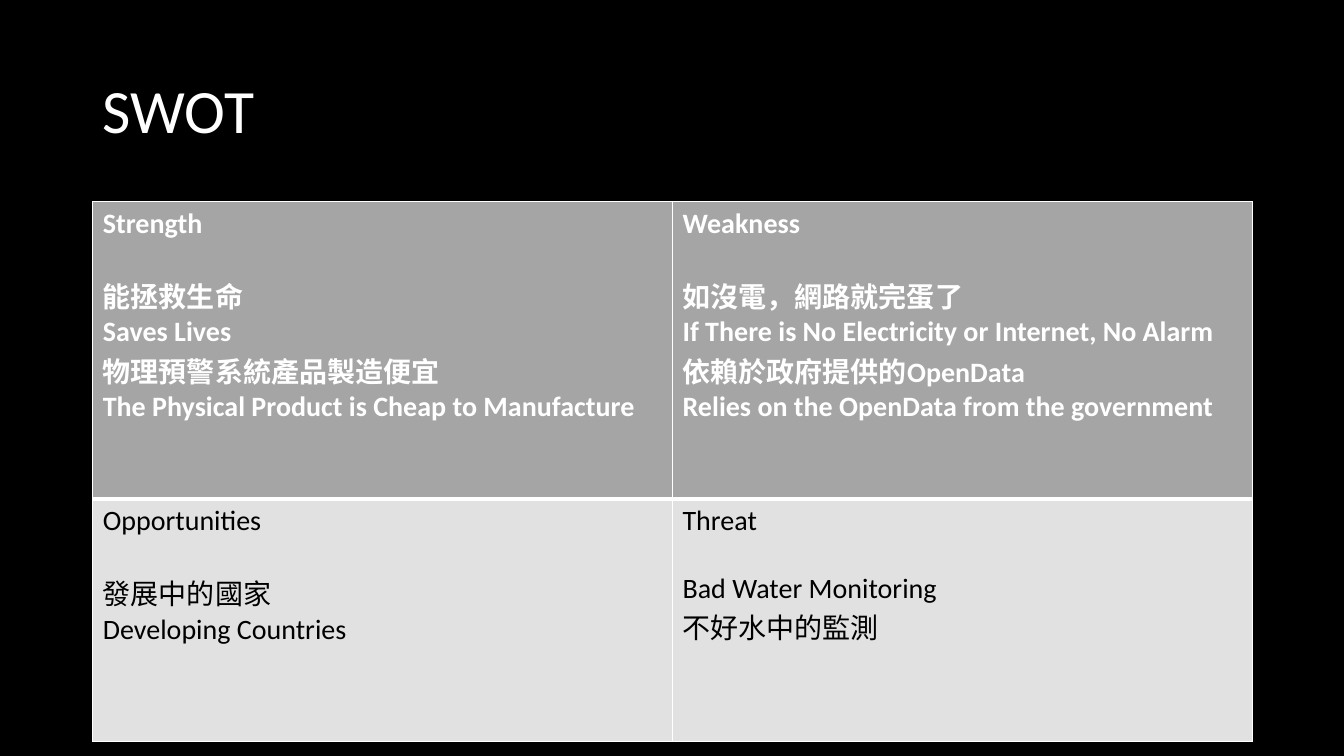
from lxml.etree import SubElement
from pptx import Presentation
from pptx.dml.color import RGBColor
from pptx.enum.text import MSO_ANCHOR, PP_ALIGN
from pptx.oxml.ns import qn
from pptx.util import Inches, Pt

WHITE, BLACK = "FFFFFF", "000000"
HEIGHTS = [2.95, 2.41]
FILLS = ["A5A5A5", "E1E1E1"]
INKS = [WHITE, BLACK]
SWOT = [
    [
        ["Strength", "能拯救生命", "Saves Lives", "物理預警系統產品製造便宜",
         "The Physical Product is Cheap to Manufacture"],
        ["Weakness", "如沒電，網路就完蛋了",
         "If There is No Electricity or Internet, No Alarm",
         "依賴於政府提供的OpenData",
         "Relies on the OpenData from the government"],
    ],
    [
        ["Opportunities", "發展中的國家", "Developing Countries"],
        ["Threat", "Bad Water Monitoring", "不好水中的監測"],
    ],
]


def paint(color, code):
    color.rgb = RGBColor.from_string(code)


def fill(part, code):
    part.fill.solid()
    paint(part.fill.fore_color, code)


def add_run(para, text, size, ink, bold=False):
    run = para.add_run()
    run.text = text
    run.font.name = "Calibri"
    run.font.size = Pt(size)
    run.font.bold = bold
    paint(run.font.color, ink)


def edge(cell, widths):
    props = cell._tc.get_or_add_tcPr()
    for side, width in widths.items():
        line = SubElement(props, qn(f"a:ln{side}"), w=str(Pt(width)))
        color = SubElement(line, qn("a:solidFill"))
        SubElement(color, qn("a:srgbClr"), val=WHITE)


def add_title(slide, left, top, width, height):
    title = slide.shapes.title
    title.left, title.top = Inches(left), Inches(top)
    title.width, title.height = Inches(width), Inches(height)
    frame = title.text_frame
    frame.word_wrap = True
    frame.vertical_anchor = MSO_ANCHOR.MIDDLE
    para = frame.paragraphs[0]
    para.alignment = PP_ALIGN.LEFT
    para.line_spacing = 0.9
    add_run(para, "SWOT", 44, WHITE)


def fill_cell(cell, lines, row):
    top, base = (1, 3) if row == 0 else (3, 1)
    edge(cell, {"L": 1, "R": 1, "T": top, "B": base})
    fill(cell, FILLS[row])
    frame = cell.text_frame
    for i, text in enumerate(lines):
        para = frame.add_paragraph() if i else frame.paragraphs[0]
        if i == 0:
            para.space_after = Pt(24)
        add_run(para, text, 20, INKS[row], row == 0)


def add_grid(slide, left, top, width, height):
    frame = slide.shapes.add_table(
        2, 2, Inches(left), Inches(top), Inches(width), Inches(height))
    table = frame.table
    for col in table.columns:
        col.width = Inches(width / 2)
    for row, cells in enumerate(SWOT):
        table.rows[row].height = Inches(HEIGHTS[row])
        for col, lines in enumerate(cells):
            fill_cell(table.cell(row, col), lines, row)


def main():
    deck = Presentation()
    deck.slide_width, deck.slide_height = Inches(13.33), Inches(7.5)
    slide = deck.slides.add_slide(deck.slide_layouts[5])
    fill(slide.background, BLACK)
    add_title(slide, 0.92, 0.4, 11.5, 1.45)
    add_grid(slide, 0.92, 2, 11.5, sum(HEIGHTS))
    deck.save("out.pptx")


if __name__ == "__main__":
    main()
